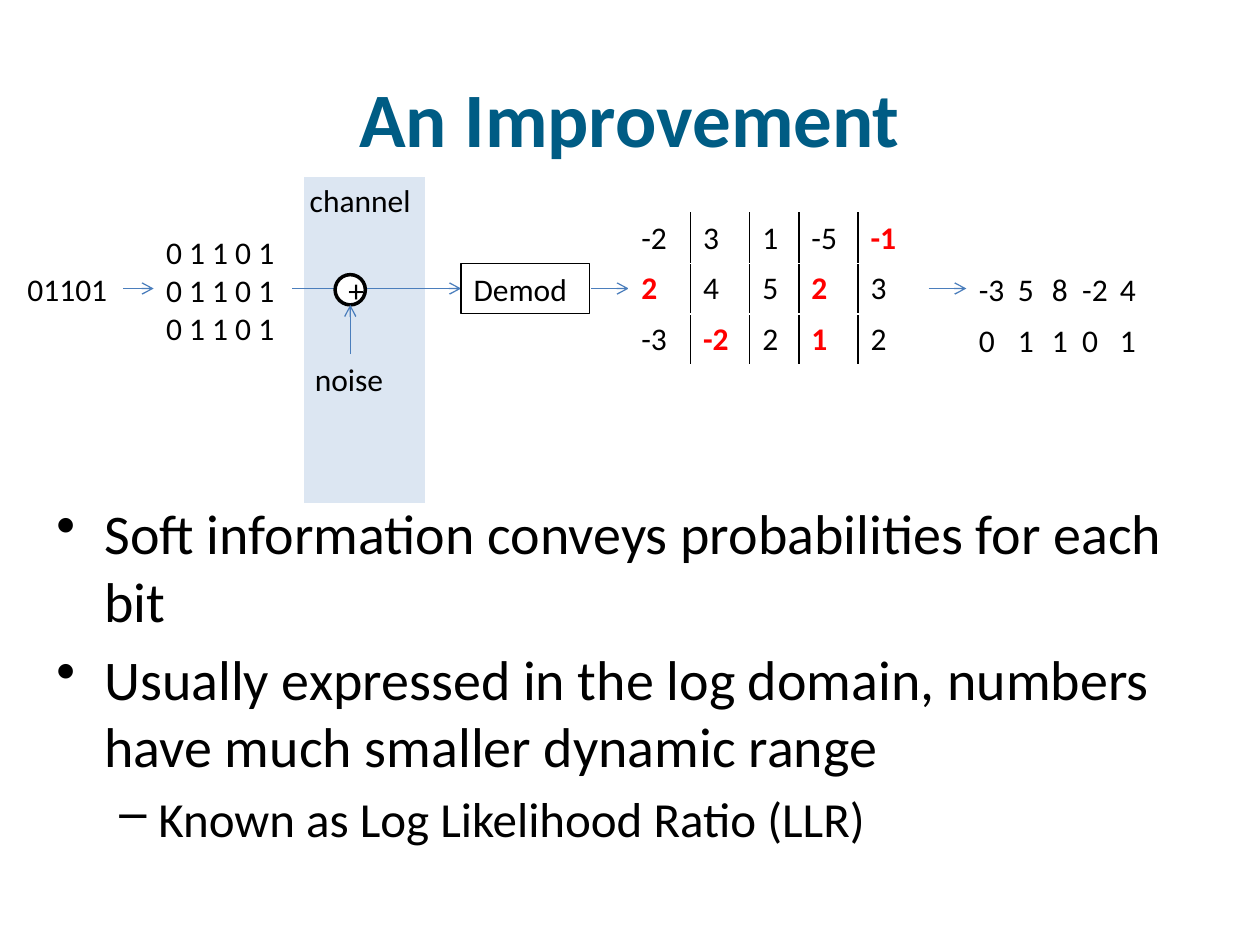
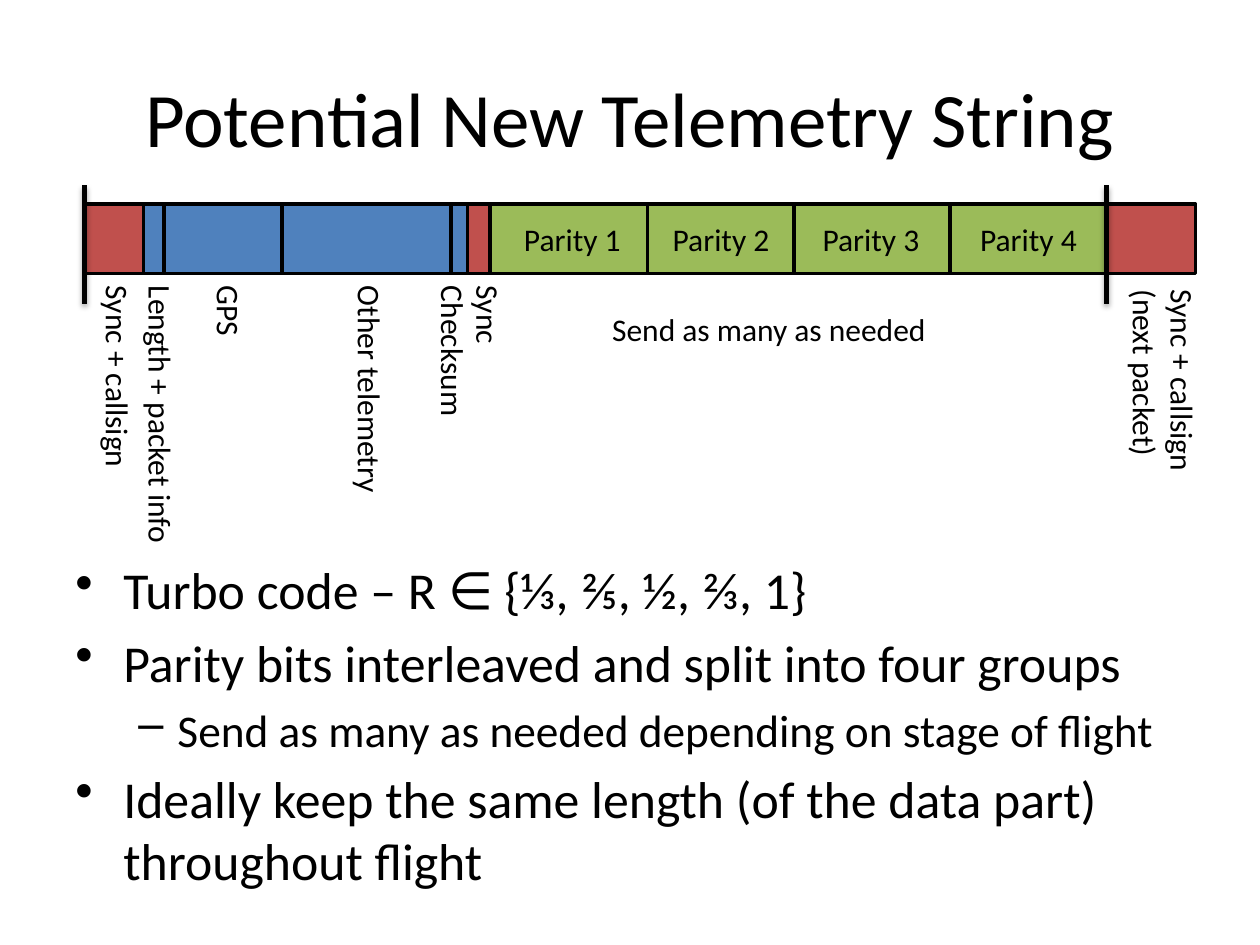
from lxml import etree
from pptx import Presentation
from pptx.dml.color import RGBColor
from pptx.enum.shapes import MSO_CONNECTOR, MSO_SHAPE
from pptx.enum.text import MSO_ANCHOR, PP_ALIGN
from pptx.oxml.ns import qn
from pptx.util import Inches, Pt

RECTANGLE, OVAL = MSO_SHAPE.RECTANGLE, MSO_SHAPE.OVAL
STRAIGHT = MSO_CONNECTOR.STRAIGHT
LEFT, CENTER = PP_ALIGN.LEFT, PP_ALIGN.CENTER
TOP, MIDDLE = MSO_ANCHOR.TOP, MSO_ANCHOR.MIDDLE

FONT = "Calibri"
COLORS = {
    "black": "000000", "white": "FFFFFF", "title": "005C84", "error": "FF0000",
    "channel": "DCE6F2", "arrow": "4B7EBC",
    "sync": "C0504D", "data": "4F81BD", "parity": "9BBB59",
}

# The slide is a grid of 100 columns by 75 rows
deck = Presentation()
deck.slide_width, deck.slide_height = Inches(10), Inches(7.5)
COLUMN, ROW = deck.slide_width / 100, deck.slide_height / 75


def add_box(page, at, lines=(), size=18, color="black", bold=False, align=LEFT,
            anchor=TOP, wrap=True, vertical=False,
            preset=None, fill=None, line=None, weight=2):
    """Add a text box, or a preset shape, with one paragraph for each line."""
    left, top, width, height = at
    place = [int(left * COLUMN), int(top * ROW), int(width * COLUMN), int(height * ROW)]
    if preset is None:
        box = page.shapes.add_textbox(*place)
    else:
        box = page.shapes.add_shape(preset, *place)
        box.shadow.inherit = False
        if fill:
            box.fill.solid()
            box.fill.fore_color.rgb = RGBColor.from_string(COLORS[fill])
        else:
            box.fill.background()
        box.line.color.rgb = RGBColor.from_string(COLORS[line])
        box.line.width = Pt(weight)
    frame = box.text_frame
    frame.word_wrap = wrap
    frame.vertical_anchor = anchor
    if vertical:
        frame._txBody.bodyPr.set("vert", "vert")
    for index, words in enumerate(lines):
        para = frame.paragraphs[0] if index == 0 else frame.add_paragraph()
        para.text = words
        para.alignment = align
        para.font.name, para.font.size, para.font.bold = FONT, Pt(size), bold
        para.font.color.rgb = RGBColor.from_string(COLORS[color])
    return box


def add_line(page, start, end, color, weight, arrow=False, shadow=False):
    """Add a straight line, with an arrowhead or a soft shadow if wanted."""
    connector = page.shapes.add_connector(
        STRAIGHT, int(start[0] * COLUMN), int(start[1] * ROW),
        int(end[0] * COLUMN), int(end[1] * ROW))
    connector.line.color.rgb = RGBColor.from_string(COLORS[color])
    connector.line.width = Pt(weight)
    if arrow:
        etree.SubElement(connector.line._ln, qn("a:tailEnd"), type="arrow")
    effects = etree.SubElement(connector._element.spPr, qn("a:effectLst"))
    if shadow:
        cast = etree.SubElement(effects, qn("a:outerShdw"), blurRad=str(Pt(3.1)),
                                dist=str(Pt(1.8)), dir="5400000", rotWithShape="0")
        tint = etree.SubElement(cast, qn("a:srgbClr"), val=COLORS["black"])
        etree.SubElement(tint, qn("a:alpha"), val="35000")


# Titles and bullets of both slides
LEVELS = [("\u2022", 0.38, -0.38), ("\u2013", 0.81, -0.31)]
outline = [
    ("An Improvement", "title", True, (3.5, 39.1, 91.3, 29.1), (32, 28), [
        (0, "Soft information conveys probabilities for each bit"),
        (0, "Usually expressed in the log domain, numbers have much smaller dynamic range"),
        (1, "Known as Log Likelihood Ratio (LLR)")]),
    ("Potential New Telemetry String", "black", False, (5, 43.8, 92.2, 27.6), (29.6, 25.9), [
        (0, "Turbo code – R ∈ {⅓, ⅖, ½, ⅔, 1}"),
        (0, "Parity bits interleaved and split into four groups"),
        (1, "Send as many as needed depending on stage of flight"),
        (0, "Ideally keep the same length (of the data part) throughout flight")]),
]
pages = []
for title, color, bold, at, sizes, bullets in outline:
    page = deck.slides.add_slide(deck.slide_layouts[6])
    pages.append(page)
    add_box(page, (5, 3, 90, 12.5), [title], 44, color, bold, CENTER, MIDDLE)
    body = add_box(page, at, [words for level, words in bullets])
    for para, (level, words) in zip(body.text_frame.paragraphs, bullets):
        mark, margin, indent = LEVELS[level]
        para.level = level
        para.font.size = Pt(sizes[level])
        para.space_before = Pt(round(0.2 * sizes[level], 1))
        props = para._p.get_or_add_pPr()
        props.set("marL", str(Inches(margin)))
        props.set("indent", str(Inches(indent)))
        bullet = etree.Element(qn("a:buChar"), char=mark)
        props.find(qn("a:defRPr")).addprevious(bullet)
improvement, telemetry = pages

# Slide 1: channel band and source bits
add_box(improvement, (24, 13.9, 9.9, 26.2), preset=RECTANGLE, fill="channel", line="white")
add_box(improvement, (23.6, 13.9, 10.2, 4), ["channel"])
add_box(improvement, (1.2, 20.9, 8.7, 4), ["01101"])
add_box(improvement, (12.2, 18, 11, 10.1), ["0 1 1 0 1"] * 3)

# Slide 1: signal path, with the adder over its line
MIDLINE = 22.9
for start, end in [(9.8, 12.2), (23.2, 36.6), (46.9, 49.9), (73.7, 76.7)]:
    add_line(improvement, (start, MIDLINE), (end, MIDLINE), "arrow", 0.75, arrow=True)
add_box(improvement, (26.6, 21.8, 2.4, 2.4), ["+"], align=CENTER, anchor=MIDDLE,
        preset=OVAL, fill="white", line="black")
add_box(improvement, (24, 28.1, 7.5, 4), ["noise"], wrap=False)
add_line(improvement, (27.8, 28.1), (27.8, 24.2), "arrow", 0.75, arrow=True)
add_box(improvement, (36.6, 20.9, 10.2, 4), ["Demod"],
        preset=RECTANGLE, line="black", weight=0.75)

# Slide 1: soft values, wrong signs in red
soft_values = [[-2, 3, 1, -5, -1], [2, 4, 5, 2, 3], [-3, -2, 2, 1, 2]]
errors = {(0, 4), (1, 0), (1, 3), (2, 1), (2, 3)}
widths = [4.9, 4.7, 3.9, 4.7, 5.5]
table = improvement.shapes.add_table(
    3, 5, int(49.9 * COLUMN), int(16.9 * ROW),
    int(sum(widths) * COLUMN), int(12 * ROW)).table
table.first_row = table.horz_banding = False
for number, width in enumerate(widths):
    table.columns[number].width = int(width * COLUMN)
for row, values in enumerate(soft_values):
    for number, value in enumerate(values):
        cell = table.cell(row, number)
        wrong = (row, number) in errors
        para = cell.text_frame.paragraphs[0]
        para.text = str(value)
        para.font.name, para.font.size, para.font.bold = FONT, Pt(18), wrong
        para.font.color.rgb = RGBColor.from_string(COLORS["error" if wrong else "black"])
        inner = {"L": number > 0, "R": number < 4, "T": False, "B": False}
        for side, dark in inner.items():
            edge = etree.SubElement(cell._tc.get_or_add_tcPr(), qn("a:ln" + side),
                                    w=str(Pt(1)))
            paint = etree.SubElement(edge, qn("a:solidFill"))
            etree.SubElement(paint, qn("a:srgbClr"), val=COLORS["black" if dark else "white"])
        cell.fill.solid()
        cell.fill.fore_color.rgb = RGBColor.from_string(COLORS["white"])

# Slide 1: column sums and decided bits, on shared tab stops
for top, values in [(20.9, [-3, 5, 8, -2, 4]), (25, [0, 1, 1, 0, 1])]:
    box = add_box(improvement, (76.7, top, 15.7, 4), ["\t".join(map(str, values))])
    stops = etree.Element(qn("a:tabLst"))
    for stop in (0.31, 0.58, 0.82, 1.12):
        etree.SubElement(stops, qn("a:tab"), pos=str(Inches(stop)), algn="l")
    box.text_frame.paragraphs[0]._p.pPr.find(qn("a:defRPr")).addprevious(stops)

# Slide 2: packet bar, each field running to the start of the next
fields = [(6.7, "sync"), (11.4, "data"), (13, "data"), (22.4, "data"), (35.8, "data"),
          (37.1, "sync"), (38.9, "parity"), (51.4, "parity"), (63, "parity"),
          (75.4, "parity"), (87.8, "sync")]
ends = [start for start, kind in fields[1:]] + [94.9]
for (start, kind), end in zip(fields, ends):
    add_box(telemetry, (start, 16.2, end - start, 5.5),
            preset=RECTANGLE, fill=kind, line="black")
for edge in (6.7, 87.8):
    add_line(telemetry, (edge, 14.7), (edge, 24.1), "black", 3, shadow=True)

# Slide 2: field labels
for number, left in enumerate([40.6, 52.4, 64.3, 76.8], start=1):
    add_box(telemetry, (left, 17, 9.8, 4), [f"Parity {number}"], wrap=False)
add_box(telemetry, (47.6, 24.1, 36.2, 4), ["Send as many as needed"])
labels = [
    (6.4, 21.7, 5, ["Sync + callsign"]),
    (9.8, 21.7, 5, ["Length + packet info"]),
    (15.2, 21.7, 5, ["GPS"]),
    (26.4, 21.7, 5, ["Other telemetry"]),
    (33, 21.7, 5, ["Checksum"]),
    (35.8, 21.7, 5, ["Sync"]),
    (87.8, 22, 8.1, ["Sync + callsign", "(next packet)"]),
]
for left, top, width, lines in labels:
    add_box(telemetry, (left, top, width, 22.9), lines, vertical=True)

deck.save("out.pptx")
